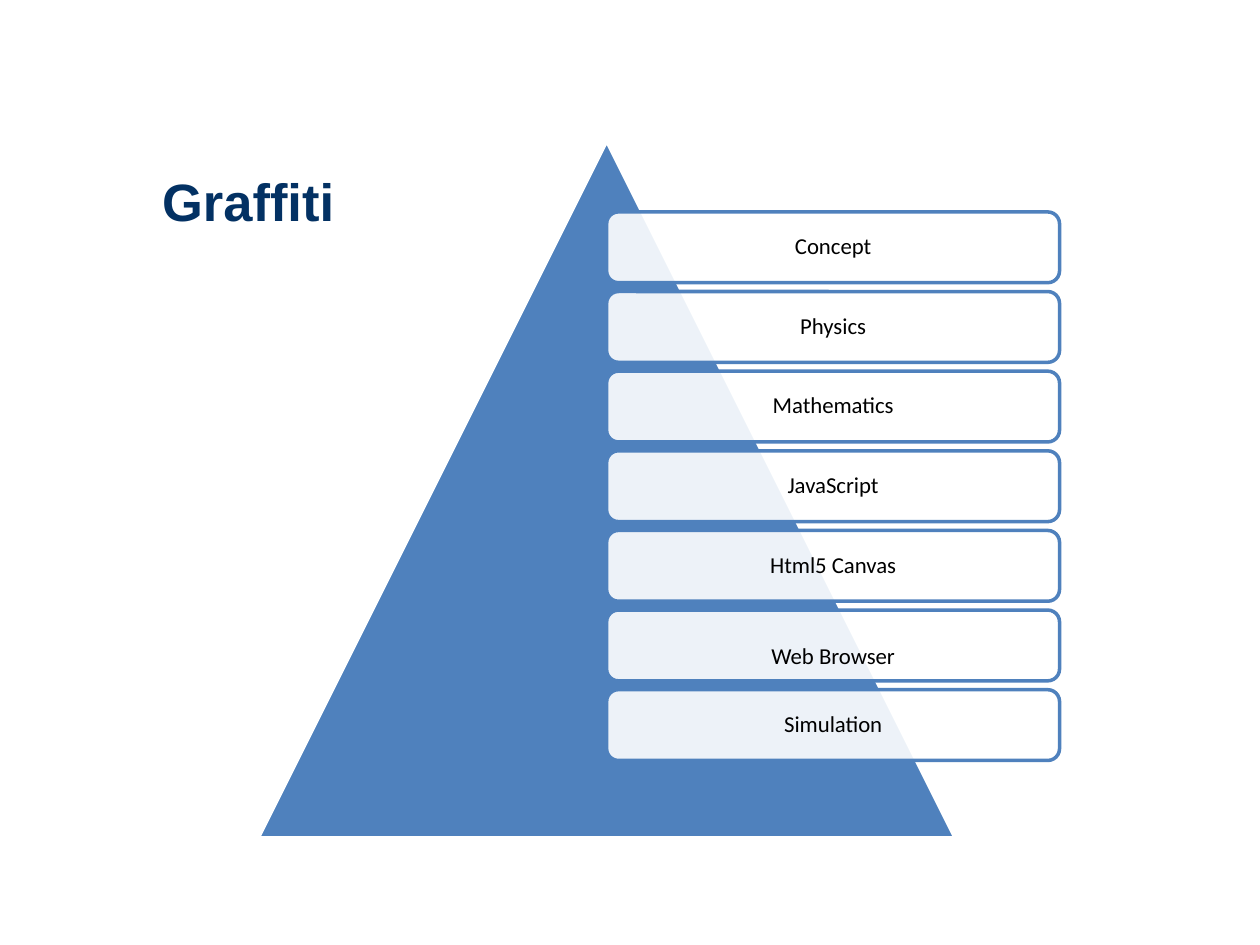
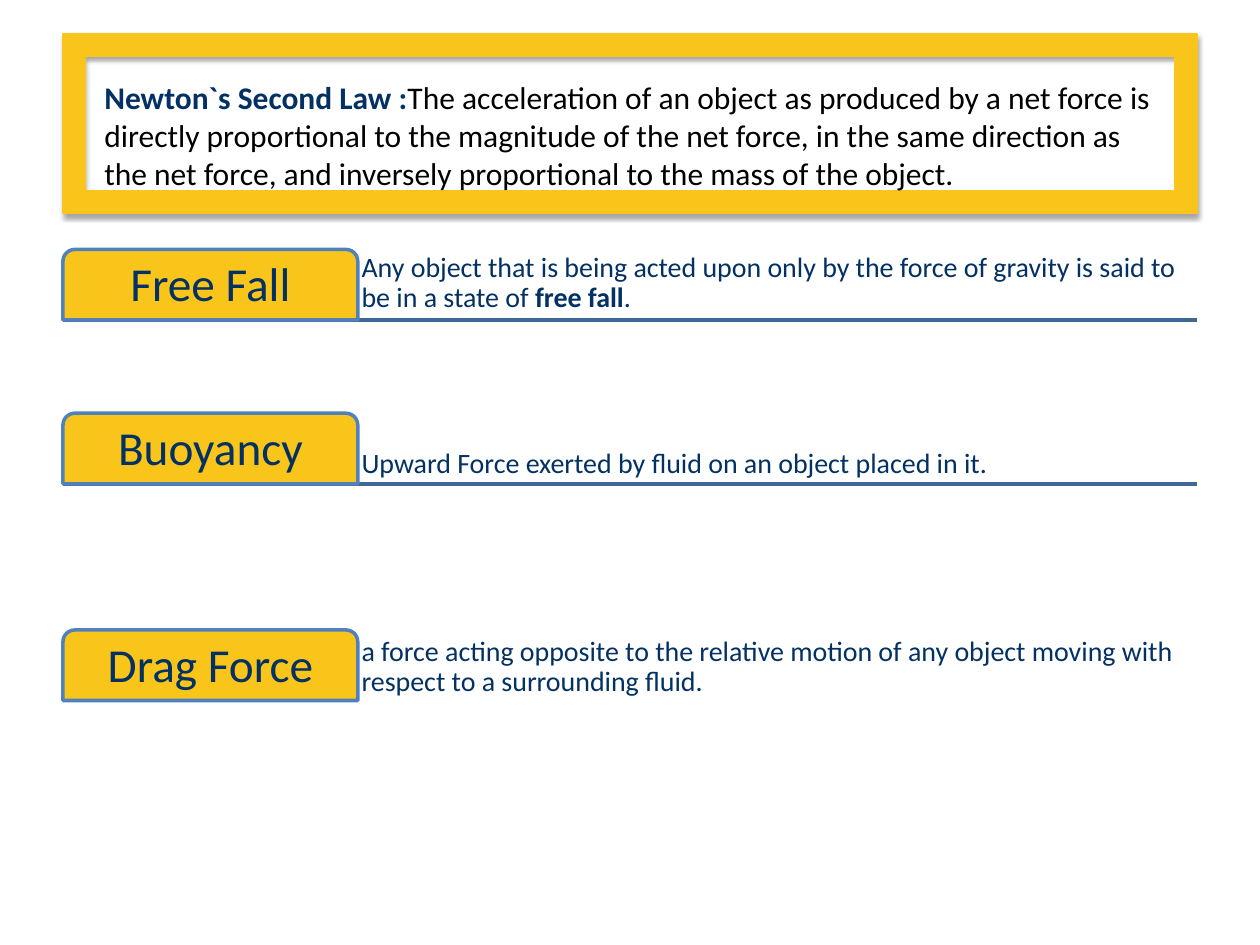
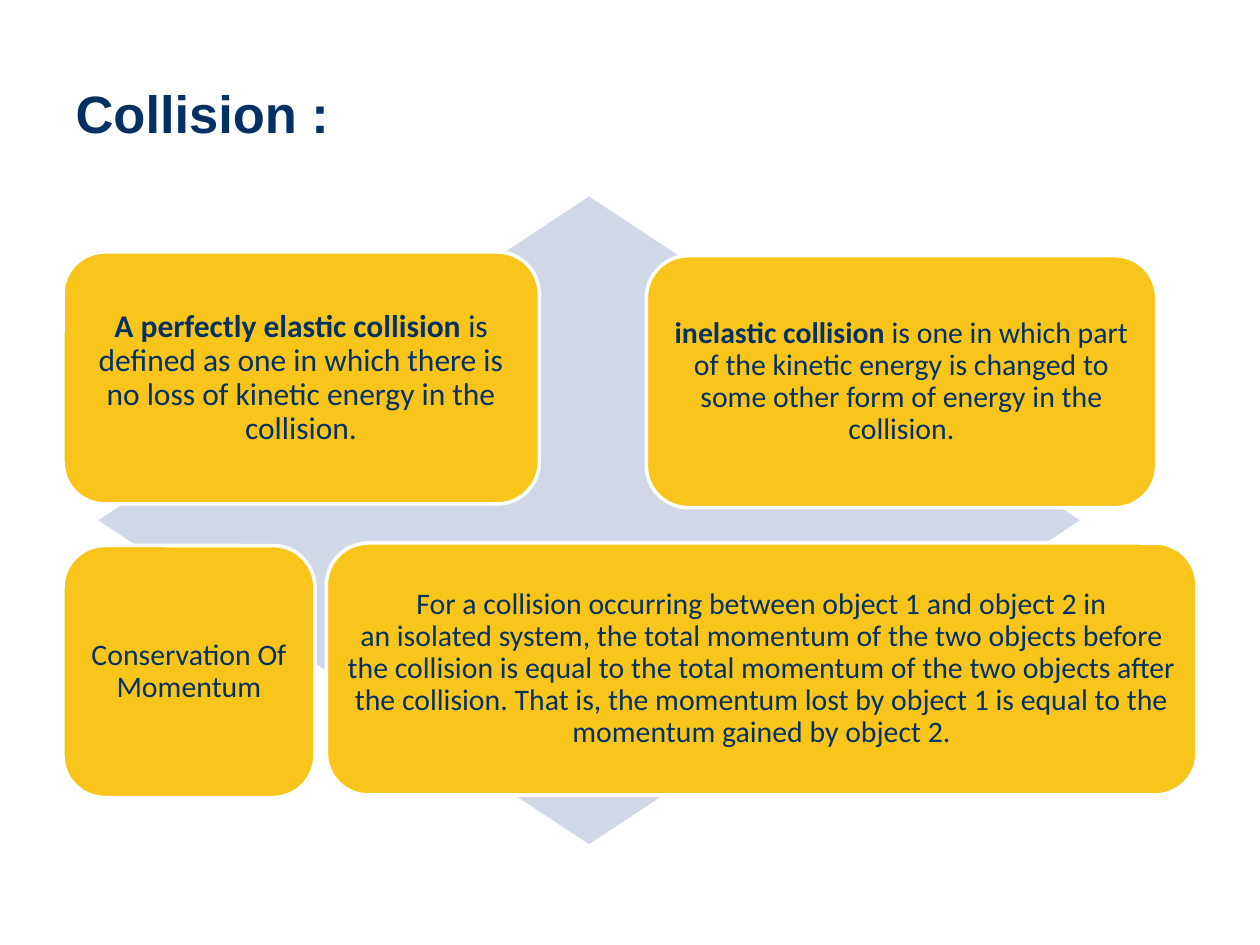
import pptx
import pptx.util
import pptx.dml.color
import pptx.enum.shapes
import pptx.enum.text
import pptx.oxml.ns
from lxml import etree

Inches = pptx.util.Inches
Pt = pptx.util.Pt
Kind = pptx.enum.shapes.MSO_SHAPE
Align = pptx.enum.text.PP_ALIGN
Anchor = pptx.enum.text.MSO_ANCHOR
qn = pptx.oxml.ns.qn

HUES = {"navy": "033163", "gold": "F9C51A", "blue": "4F81BD", "steel": "3F6797",
        "pale": "D0D8E8", "white": "FFFFFF", "black": "000000"}
TITLE = {"name": "Arial", "size": Pt(30), "bold": True}
BODY = {"name": "Calibri", "bold": False}
BOLD = {"bold": True}
BLACK = {"ink": "black"}
SIDES = ("left", "top", "right", "bottom")
HARD = chr(160)


def hue(name):
    """Return the named colour."""
    return pptx.dml.color.RGBColor.from_string(HUES[name])


def put(item, vals):
    """Set each value of a dict on an object."""
    for key, val in vals.items():
        setattr(item, key, val)


def span(box):
    """Turn a box in inches into lengths."""
    return [Inches(side) for side in box]


def write(frame, runs, font, align=Align.CENTER, pads=(0.1, 0.05, 0.1, 0.05),
          anchor=Anchor.MIDDLE, gap=0.9):
    """Fill a text frame with one paragraph of (text, extra font values) runs."""
    put(frame, {"word_wrap": True, "vertical_anchor": anchor,
                "auto_size": pptx.enum.text.MSO_AUTO_SIZE.NONE})
    put(frame, {f"margin_{side}": Inches(pad) for side, pad in zip(SIDES, pads)})
    para = frame.paragraphs[0]
    put(para, {"alignment": align, "line_spacing": gap})
    for text, extra in runs:
        run = para.add_run()
        run.text = text
        vals = {**font, **extra}
        run.font.color.rgb = hue(vals.pop("ink", "navy"))
        put(run.font, vals)


def draw(slide, kind, box, fill, edge=None, width=2):
    """Add a flat preset shape."""
    shape = slide.shapes.add_shape(kind, *span(box))
    shape.shadow.inherit = False
    shape.fill.solid()
    shape.fill.fore_color.rgb = hue(fill)
    if edge:
        shape.line.color.rgb = hue(edge)
        shape.line.width = Pt(width)
    else:
        shape.line.fill.background()
    return shape


def label(slide, box, runs, font, **look):
    """Add a text box."""
    write(slide.shapes.add_textbox(*span(box)).text_frame, runs, font, **look)


def head(slide, box, text, align):
    """Place and format the title."""
    title = slide.shapes.title
    put(title, dict(zip(("left", "top", "width", "height"), span(box))))
    write(title.text_frame, [(text, {})], TITLE, align=align, gap=1.0)


def fade(shape, share):
    """Make a solid fill partly clear."""
    tint = shape._element.spPr.find(qn("a:solidFill"))[0]
    etree.SubElement(tint, qn("a:alpha"), val=str(share * 1000))


def shade(shape):
    """Give a shape a soft drop shadow."""
    group = shape._element.spPr.find(qn("a:effectLst"))
    drop = etree.SubElement(group, qn("a:outerShdw"), blurRad=str(Pt(3.1)),
                            dist=str(Pt(1.8)), dir="5400000", rotWithShape="0")
    tint = etree.SubElement(drop, qn("a:srgbClr"), val=HUES["black"])
    etree.SubElement(tint, qn("a:alpha"), val="35000")


def rule(slide, left, right, top):
    """Draw a level line."""
    line = slide.shapes.add_connector(pptx.enum.shapes.MSO_CONNECTOR.STRAIGHT,
                                      *span((left, top, right, top)))
    line.line.color.rgb = hue("steel")
    line.line.width = Pt(2)
    etree.SubElement(line._element.spPr, qn("a:effectLst"))


def stack(slide, box, topics):
    """Draw a triangle with a stack of topic cards; each topic has a text drop."""
    left, top, wide, high = box
    draw(slide, Kind.ISOSCELES_TRIANGLE, box, "blue", "white")
    step = high / 8.75
    tall = step * 8 / 9
    for row, (topic, drop) in enumerate(topics):
        spot = (left + wide / 2, top + tall + row * step, wide * 0.65, tall)
        card = draw(slide, Kind.ROUNDED_RECTANGLE, spot, "white", "blue")
        fade(card, 90)
        write(card.text_frame, [(topic, BLACK)], {**BODY, "size": Pt(13)},
              pads=(0.05, 0.05 + drop, 0.05, 0.05))


def law(slide, box, runs):
    """Draw a framed law."""
    left, top, wide, high = box
    shade(draw(slide, Kind.FRAME, box, "gold", "gold", 0.75))
    spot = (left + 0.23, top + 0.3, wide - 0.46, high - 0.41)
    label(slide, spot, runs, {**BODY, "size": Pt(18)},
          align=Align.LEFT, anchor=Anchor.TOP, gap=1.0)


def term(slide, box, name, runs, lined, rise):
    """Draw a tab with its term and the meaning beside it, raised a little."""
    left, top, wide, high = box
    tab = wide * 0.26
    if lined:
        rule(slide, left, left + wide, top + high)
    label(slide, (left + tab, top - rise, wide - tab, high), runs,
          {**BODY, "size": Pt(16)}, align=Align.LEFT, anchor=Anchor.BOTTOM,
          pads=(0.03,) * 4)
    shape = draw(slide, Kind.ROUND_2_SAME_RECTANGLE, (left, top, tab, high), "gold", "blue")
    write(shape.text_frame, [(name, {})], {**BODY, "size": Pt(27)}, pads=(0.06,) * 4)


def cross(slide, box, cards):
    """Draw a diamond with cards placed from its corner."""
    left, top, wide, high = box
    draw(slide, Kind.DIAMOND, box, "pale")
    for across, down, width, size, runs in cards:
        card = draw(slide, Kind.ROUNDED_RECTANGLE, (left + across, top + down, width, 2),
                    "gold", "white")
        write(card.text_frame, runs, {**BODY, "size": Pt(size)}, pads=(0.07,) * 4)


def main():
    """Build the slides."""
    deck = pptx.Presentation()
    put(deck, {"slide_width": Inches(10), "slide_height": Inches(7.5)})
    titled, blank = deck.slide_layouts[5], deck.slide_layouts[6]

    slide = deck.slides.add_slide(titled)
    head(slide, (0.27, 1.11, 3.4, 0.96), "Graffiti", Align.CENTER)
    stack(slide, (2.05, 1.12, 5.53, 5.53),
          [("Concept", 0), ("Physics", 0), ("Mathematics", 0), ("JavaScript", 0),
           ("Html5 Canvas", 0), ("Web Browser", 0.19), ("Simulation", 0)])

    slide = deck.slides.add_slide(blank)
    terms = [
        (1.98, "Free Fall", True, 0.02,
         [("Any object that is being acted upon only by the force of gravity is said to be "
           f"in a state of{HARD}", {}), ("free fall", BOLD), (".", {})]),
        (3.28, "Buoyancy", True, 0,
         [("Upward Force exerted by fluid on an object placed in it.", {})]),
        (5, "Drag Force", False, -0.01,
         [(f"a{HARD}force{HARD}acting opposite to the relative motion of any object moving "
           "with respect to a surrounding fluid.", {})]),
    ]
    for top, name, lined, rise, runs in terms:
        term(slide, (0.5, top, 9, 0.56), name, runs, lined, rise)
    law(slide, (0.5, 0.27, 9, 1.42), [
        ("Newton`s Second Law :", BOLD),
        ("The acceleration of an object as produced by a net force is directly proportional "
         "to the magnitude of the net force, in the same direction as the net force, and "
         "inversely proportional to the mass of the object.", BLACK)])

    slide = deck.slides.add_slide(titled)
    head(slide, (0.5, 0.35, 9, 1.08), "Collision :", Align.LEFT)
    cross(slide, (0.78, 1.56, 7.79, 5.14), [
        (-0.28, 0.44, 3.78, 18,
         [(f"A perfectly{HARD}elastic collision", BOLD),
          (f"{HARD}is defined as one in which there is no loss of{HARD}kinetic "
           f"energy{HARD}in the collision.", {})]),
        (4.35, 0.47, 4.05, 17,
         [("inelastic collision", BOLD),
          (f"{HARD}is one in which part of the kinetic energy is changed to some other "
           "form of energy in the collision.", {})]),
        (-0.28, 2.77, 2, 17, [("Conservation Of Momentum", {})]),
        (1.81, 2.75, 6.91, 17,
         [("For a collision occurring between object 1 and object 2 in "
           f"an{HARD}isolated system, the total momentum of the two objects before the "
           "collision is equal to the total momentum of the two objects after the "
           "collision. That is, the momentum lost by object 1 is equal to the momentum "
           "gained by object 2.", {})]),
    ])
    deck.save("out.pptx")


if __name__ == "__main__":
    main()
